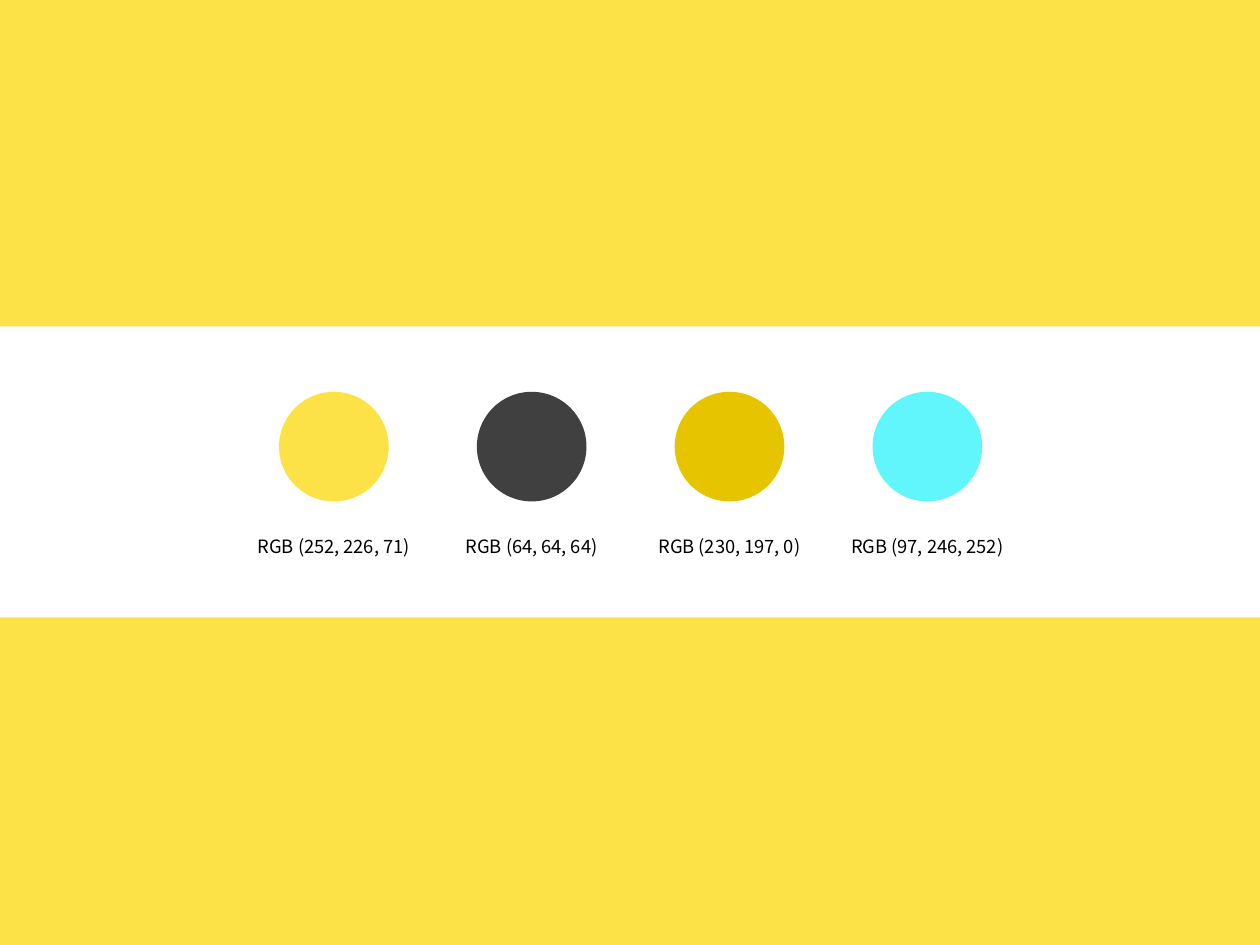
import pptx
import pptx.util
import pptx.dml.color
import pptx.enum.shapes
import pptx.enum.text
from dataclasses import dataclass

Inches = pptx.util.Inches
Shape = pptx.enum.shapes.MSO_SHAPE


@dataclass(frozen=True)
class Theme:
    back: tuple = (252, 226, 71)
    band: tuple = (255, 255, 255)
    ink: tuple = (0, 0, 0)
    swatches: tuple = ((252, 226, 71), (64, 64, 64), (230, 197, 0), (97, 246, 252))
    font: str = "Noto Sans CJK KR"
    size: float = 10.5


@dataclass(frozen=True)
class Grid:
    wide: float = 10
    high: float = 7.5
    first: float = 2.65   # centre of the first column
    pitch: float = 1.57   # distance between column centres
    dot_top: float = 3.11
    dot: float = 0.87
    tag_top: float = 4.2
    tag_wide: float = 1.54
    tag_high: float = 0.29

    def centre(self, col):
        return self.first + col * self.pitch


THEME = Theme()
GRID = Grid()


def paint(fill, rgb):
    fill.solid()
    fill.fore_color.rgb = pptx.dml.color.RGBColor(*rgb)


def add_form(shapes, kind, left, top, wide, high, rgb):
    form = shapes.add_shape(kind, *map(Inches, (left, top, wide, high)))
    form.shadow.inherit = False
    paint(form.fill, rgb)
    form.line.fill.background()


def add_label(shapes, mid, text):
    box = shapes.add_textbox(
        Inches(mid - GRID.tag_wide / 2), Inches(GRID.tag_top),
        Inches(GRID.tag_wide), Inches(GRID.tag_high))
    frame = box.text_frame
    frame.word_wrap = True
    frame.auto_size = pptx.enum.text.MSO_AUTO_SIZE.SHAPE_TO_FIT_TEXT
    para = frame.paragraphs[0]
    para.text = text
    para.alignment = pptx.enum.text.PP_ALIGN.CENTER
    para.font.name = THEME.font
    para.font.size = pptx.util.Pt(THEME.size)
    para.font.color.rgb = pptx.dml.color.RGBColor(*THEME.ink)


def add_swatch(slide, col, rgb):
    group = slide.shapes.add_group_shape()
    mid = GRID.centre(col)
    add_form(group.shapes, Shape.OVAL, mid - GRID.dot / 2, GRID.dot_top,
             GRID.dot, GRID.dot, rgb)
    add_label(group.shapes, mid, f"RGB {rgb}")


def main():
    deck = pptx.Presentation()
    deck.slide_width = Inches(GRID.wide)
    deck.slide_height = Inches(GRID.high)
    slide = deck.slides.add_slide(deck.slide_layouts[6])

    # Background and central band
    paint(slide.background.fill, THEME.back)
    add_form(slide.shapes, Shape.RECTANGLE, 0, 2.59, GRID.wide, 2.31, THEME.band)

    # Palette
    for col, rgb in enumerate(THEME.swatches):
        add_swatch(slide, col, rgb)

    deck.save("out.pptx")


main()
